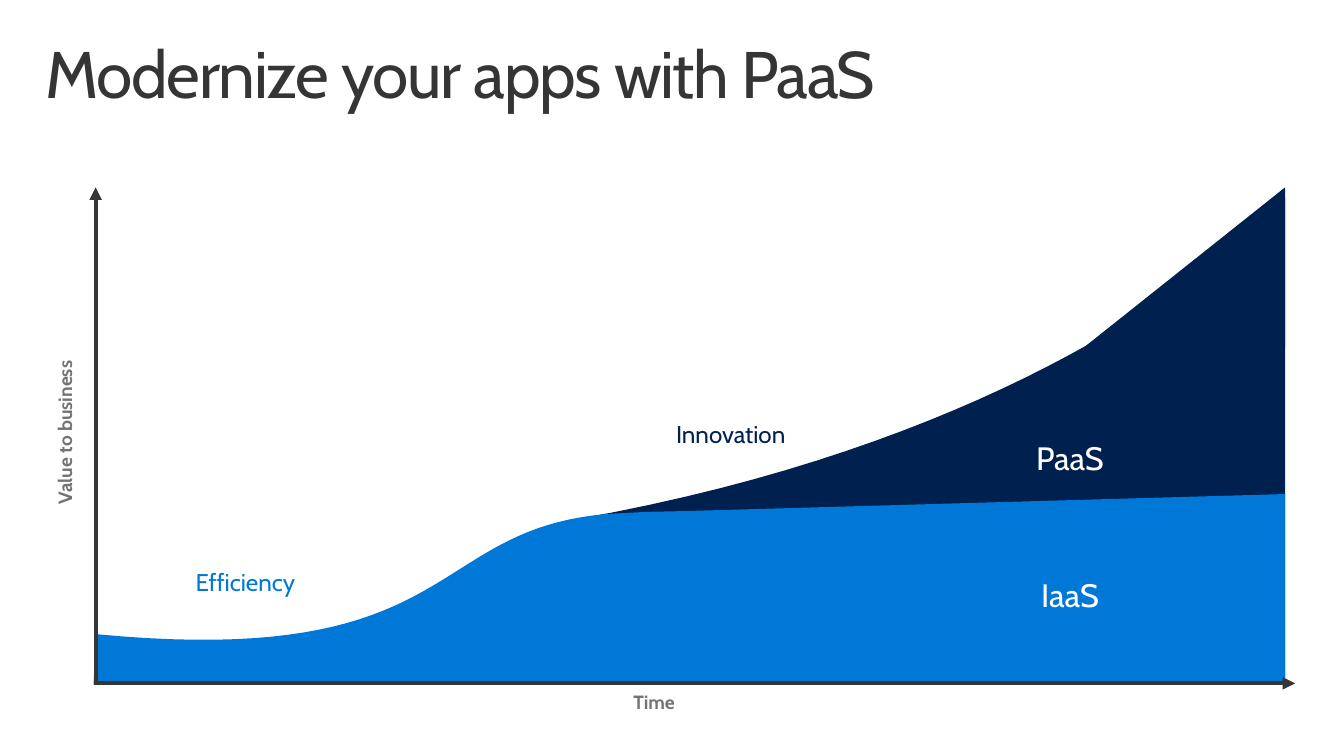
from lxml import etree
from pptx import Presentation
from pptx.dml.color import RGBColor
from pptx.enum.shapes import MSO_CONNECTOR, MSO_SHAPE
from pptx.enum.text import MSO_AUTO_SIZE, PP_ALIGN
from pptx.oxml.ns import qn
from pptx.util import Cm, Pt

STRAIGHT = MSO_CONNECTOR.STRAIGHT
TRIANGLE = MSO_SHAPE.ISOSCELES_TRIANGLE
LEFT, CENTER = PP_ALIGN.LEFT, PP_ALIGN.CENTER
FIT_SHAPE, FIT_NONE = MSO_AUTO_SIZE.SHAPE_TO_FIT_TEXT, MSO_AUTO_SIZE.NONE

FONT = "Cabin"
COLORS = {"navy": "002050", "blue": "0078D7", "dark": "353535",
          "gray": "737373", "white": "FFFFFF"}
RIGHT_EDGE, BASELINE = 32.39, 17.2
CURVE_STEPS = 40

prs = Presentation()
prs.slide_width, prs.slide_height = Cm(33.87), Cm(19.05)
slide = prs.slides.add_slide(prs.slide_layouts[6])
shapes = slide.shapes


def bezier(p0, p1, p2, p3):
    """Return points along a cubic curve, both ends included."""
    points = []
    for step in range(CURVE_STEPS + 1):
        t = step / CURVE_STEPS
        weights = ((1 - t) ** 3, 3 * t * (1 - t) ** 2, 3 * t * t * (1 - t), t ** 3)
        points.append(tuple(sum(w * p[axis] for w, p in zip(weights, (p0, p1, p2, p3)))
                            for axis in (0, 1)))
    return points


def add_text(text, left, top, width, height, *, size, color, align=CENTER, bold=False,
             wrap=True, fit=FIT_SHAPE, inset=(0.48, 0.38), after=0, rotation=0, spacing=None):
    box = shapes.add_textbox(Cm(left), Cm(top), Cm(width), Cm(height))
    box.rotation = rotation
    frame = box.text_frame
    frame.word_wrap, frame.auto_size = wrap, fit
    frame.margin_left = frame.margin_right = Cm(inset[0])
    frame.margin_top = frame.margin_bottom = Cm(inset[1])
    paragraph = frame.paragraphs[0]
    paragraph.alignment, paragraph.line_spacing = align, 0.9
    paragraph.space_after = Pt(after)
    run = paragraph.add_run()
    run.text = text
    run.font.name, run.font.size, run.font.bold = FONT, Pt(size), bold
    run.font.color.rgb = RGBColor.from_string(COLORS[color])
    if spacing is not None:
        run.font._element.set("spc", str(spacing))


# Value areas
paas_outline = [
    *bezier((14.55, 13.08), (27.36, 10.8), (32.36, 5.03), (RIGHT_EDGE, 4.98)),
    (RIGHT_EDGE, BASELINE),
    *bezier((17.2, 17.15), (16.84, 14.63), (14.66, 13.11), (14.55, 13.08)),
]
iaas_outline = [
    (16.28, 12.9), (17.22, 12.88), (RIGHT_EDGE, 12.45), (RIGHT_EDGE, BASELINE), (2.36, 17.25),
    *bezier((2.41, 15.98), (11.63, 16.87), (10.69, 13.34), (15.32, 12.95)),
]
areas = []
for outline, color in ((paas_outline, "navy"), (iaas_outline, "blue")):
    points = [(Cm(x), Cm(y)) for x, y in outline]
    builder = shapes.build_freeform(*points[0])
    builder.add_line_segments(points[1:], close=True)
    areas.append((builder.convert_to_shape(), color))

paas_peak = shapes.add_shape(TRIANGLE, Cm(27.31), Cm(4.72), Cm(5.08), Cm(4.04))
paas_peak.adjustments[0] = 1
areas.append((paas_peak, "navy"))

for area, color in areas:
    area.shadow.inherit = False
    area.fill.solid()
    area.fill.fore_color.rgb = RGBColor.from_string(COLORS[color])
    area.line.fill.background()

# Axes
for start, end in (((2.41, BASELINE), (2.41, 4.72)), ((2.36, 17.22), (32.64, 17.22))):
    axis = shapes.add_connector(STRAIGHT, *map(Cm, start + end))
    axis.line.color.rgb = RGBColor.from_string(COLORS["dark"])
    axis.line.width = Pt(3)
    etree.SubElement(axis.line._get_or_add_ln(), qn("a:tailEnd"), type="triangle")
    etree.SubElement(axis._element.spPr, qn("a:effectLst"))

# Title and labels
add_text("Modernize your apps with PaaS", 0.74, 0.81, 32.39, 2.49, size=47, color="dark",
         align=LEFT, fit=FIT_NONE, inset=(0.41, 0.25), spacing=-100)

axis_title = {"size": 13.7, "color": "gray", "bold": True}
add_text("Value to business", -4.37, 10.24, 12.34, 1.32, rotation=270, **axis_title)
add_text("Time", 11.76, BASELINE, 9.45, 1.32, **axis_title)

add_text("Efficiency", 4.37, 14.05, 3.63, 1.45, size=17.3, color="blue")
add_text("Innovation", 16.36, 10.31, 4.11, 1.45, size=17.3, color="navy")

area_label = {"size": 23.1, "color": "white", "align": LEFT, "wrap": False, "after": 5.7}
add_text("PaaS", 25.63, 10.77, 2.77, 1.7, **area_label)
add_text("IaaS", 25.76, 14.22, 2.51, 1.7, **area_label)

prs.save("out.pptx")
